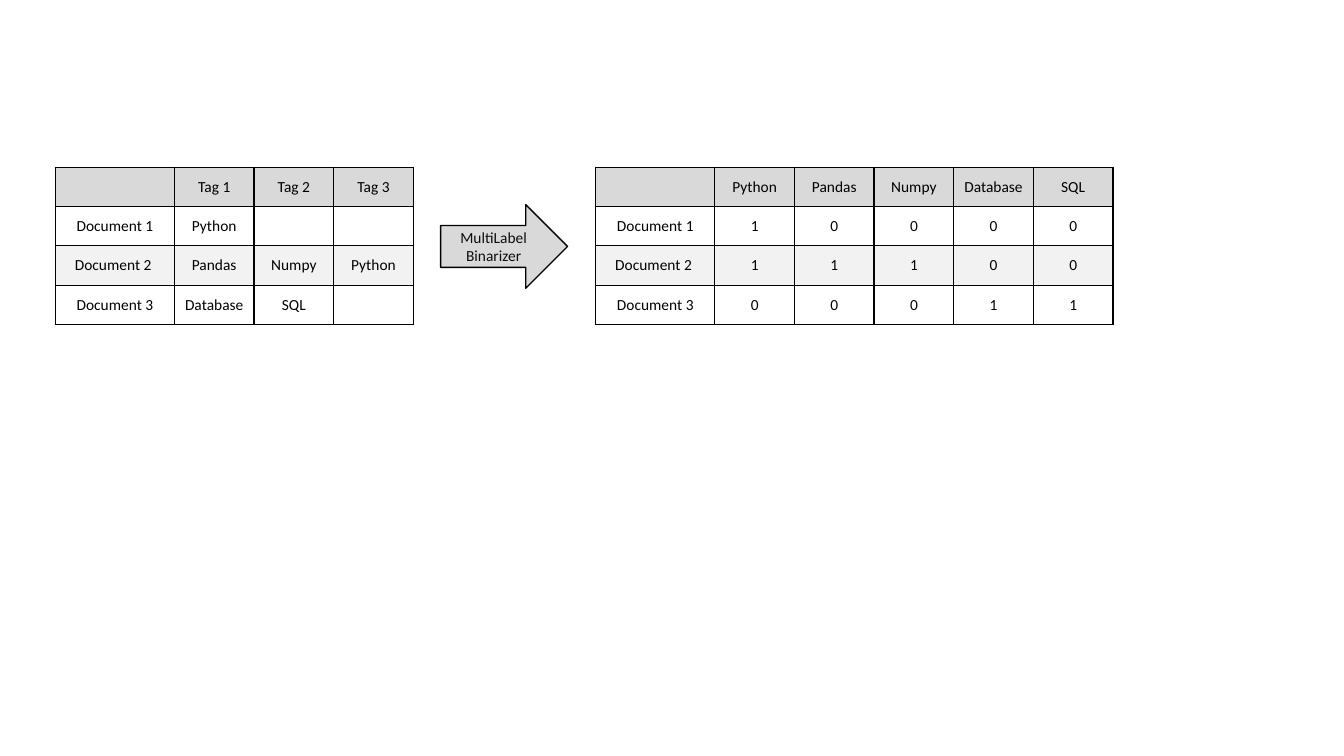
from lxml.etree import SubElement
from pptx import Presentation
from pptx.dml.color import RGBColor as Rgb
from pptx.enum.shapes import MSO_SHAPE as Shape
from pptx.enum.text import MSO_ANCHOR as Anchor, PP_ALIGN as Align
from pptx.oxml.ns import qn
from pptx.util import Inches, Pt

colors = {"head": "D9D9D9", "band": "F2F2F2", "line": "000000",
          "text": "000000", "label": "0D0D0D"}


def write(frame, text, size=11, color="text", font="Calibri"):
    frame.text = text
    for para in frame.paragraphs:
        para.alignment = Align.CENTER
        for run in para.runs:
            run.font.name = font
            run.font.size = Pt(size)
            run.font.color.rgb = Rgb.from_string(colors[color])


def border(cell, width=1):
    props = cell._tc.get_or_add_tcPr()
    for side in ("lnL", "lnR", "lnT", "lnB"):
        line = SubElement(props, qn(f"a:{side}"), w=str(Pt(width)))
        fill = SubElement(line, qn("a:solidFill"))
        SubElement(fill, qn("a:srgbClr"), val=colors["line"])


deck = Presentation()
deck.slide_width, deck.slide_height = Inches(13.33), Inches(7.5)
slide = deck.slides.add_slide(deck.slide_layouts[6])

top, high, first, wide = 1.66, 0.39, 1.18, 0.79
tables = [
    (0.55, [["", "Tag 1", "Tag 2", "Tag 3"],
            ["Document 1", "Python", "", ""],
            ["Document 2 ", "Pandas", "Numpy", "Python"],
            ["Document 3", "Database", "SQL", ""]]),
    (5.91, [["", "Python", "Pandas", "Numpy", "Database", "SQL"],
            ["Document 1", "1", "0", "0", "0", "0"],
            ["Document 2 ", "1", "1", "1", "0", "0"],
            ["Document 3", "0", "0", "0", "1", "1"]]),
]
fills = {0: "head", 2: "band"}

for left, rows in tables:
    count = len(rows[0])
    span = first + wide * (count - 1)
    table = slide.shapes.add_table(
        len(rows), count, Inches(left), Inches(top),
        Inches(span), Inches(high * len(rows))).table
    table.first_row = table.horz_banding = False
    for c, col in enumerate(table.columns):
        col.width = Inches(wide if c else first)
    for r, row in enumerate(rows):
        table.rows[r].height = Inches(high)
        for c, text in enumerate(row):
            cell = table.cell(r, c)
            cell.margin_left = cell.margin_right = Inches(0.05)
            cell.margin_top = cell.margin_bottom = Inches(0.02)
            cell.vertical_anchor = Anchor.MIDDLE
            write(cell.text_frame, text)
            border(cell)
            if r in fills:
                cell.fill.solid()
                cell.fill.fore_color.rgb = Rgb.from_string(colors[fills[r]])
            else:
                cell.fill.background()

arrow = slide.shapes.add_shape(
    Shape.RIGHT_ARROW, Inches(4.37), Inches(2.03), Inches(1.26), Inches(0.83))
arrow.shadow.inherit = False
arrow.fill.solid()
arrow.fill.fore_color.rgb = Rgb.from_string(colors["head"])
arrow.line.color.rgb = Rgb.from_string(colors["line"])
arrow.line.width = Pt(1)
frame = arrow.text_frame
frame.word_wrap = True
frame.vertical_anchor = Anchor.MIDDLE
frame.margin_top = frame.margin_bottom = Inches(0)
write(frame, "MultiLabel\nBinarizer", color="label")

deck.save("out.pptx")
